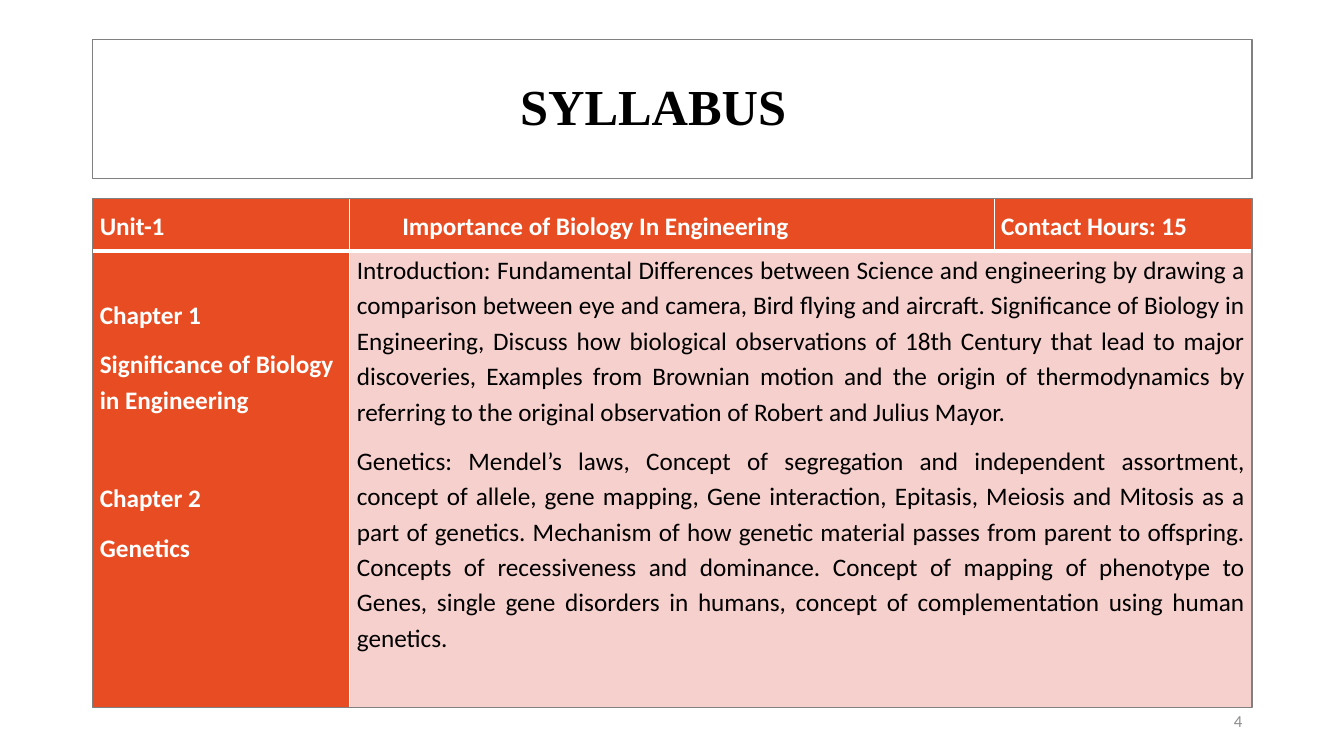
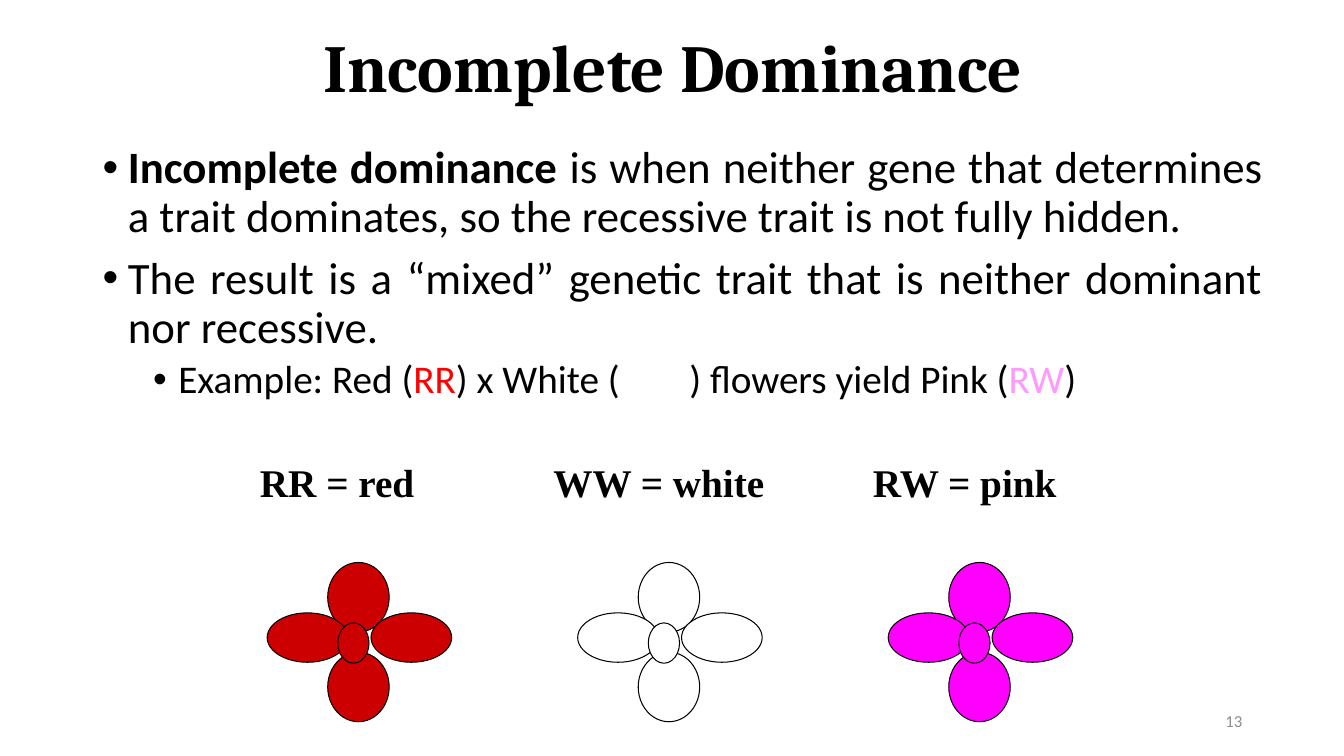
from lxml import etree
from pptx import Presentation
from pptx.dml.color import RGBColor
from pptx.enum.shapes import MSO_SHAPE
from pptx.enum.text import MSO_ANCHOR, PP_ALIGN
from pptx.oxml.ns import qn
from pptx.util import Pt

LEFT, CENTER, RIGHT, JUSTIFY = PP_ALIGN.LEFT, PP_ALIGN.CENTER, PP_ALIGN.RIGHT, PP_ALIGN.JUSTIFY
TOP, MIDDLE = MSO_ANCHOR.TOP, MSO_ANCHOR.MIDDLE
OVAL, RECTANGLE = MSO_SHAPE.OVAL, MSO_SHAPE.RECTANGLE

BLACK, WHITE, GREY, NUMBER_GREY = "000000", "FFFFFF", "808080", "8C8C8C"
ORANGE, ROSE = "E84C22", "F6D0CD"
RED, PALE_PINK = "FF0000", "FF99FF"
BODY_FONT, SERIF_FONT, LABEL_FONT = "Calibri", "Cambria", "Times New Roman"
EMU_PER_PX = 9144
MARGIN, CONTENT_WIDTH = 92, 1150

HEADER = (("Unit-1", 7), ("Importance of Biology In Engineering", 52), ("Contact Hours: 15", 7))
CHAPTERS = (
    ("Chapter 1", JUSTIFY, 0),
    ("Significance of Biology in Engineering", LEFT, 0),
    ("Chapter 2", JUSTIFY, 35),
    ("Genetics", JUSTIFY, 0),
)
TOPICS = (
    "Introduction: Fundamental Differences between Science and engineering by drawing a comparison "
    "between eye and camera, Bird flying and aircraft. Significance of Biology in Engineering, Discuss "
    "how biological observations of 18th Century that lead to major discoveries, Examples from Brownian "
    "motion and the origin of thermodynamics by referring to the original observation of Robert and "
    "Julius Mayor.",
    "Genetics: Mendel’s laws, Concept of segregation and independent assortment, concept of allele, gene "
    "mapping, Gene interaction, Epitasis, Meiosis and Mitosis as a part of genetics. Mechanism of how "
    "genetic material passes from parent to offspring. Concepts of recessiveness and dominance. Concept "
    "of mapping of phenotype to Genes, single gene disorders in humans, concept of complementation using "
    "human genetics.",
)
BULLETS = (
    (0, 32, 0, (
        ("Incomplete dominance", BLACK, True),
        (" is when neither gene that determines a trait dominates, "
         "so the recessive trait is not fully hidden.", BLACK, False),
    )),
    (0, 32, 10, (
        ("The result is a “mixed” genetic trait that is neither dominant nor recessive.", BLACK, False),
    )),
    (1, 28, 5, (
        ("Example: Red (", BLACK, False),
        ("RR", RED, False),
        (") x White (", BLACK, False),
        ("WW", WHITE, False),
        (") flowers yield Pink (", BLACK, False),
        ("RW", PALE_PINK, False),
        (")", BLACK, False),
    )),
)
FLOWERS = (
    ("RR = red", (248, 450, 174, 57), "CC0000"),
    ("WW = white", (539, 450, 232, 57), WHITE),
    ("RW = pink", (856, 450, 205, 57), "FF00FF"),
)
FLOWER_PARTS = (
    (60, 0, 61, 69),
    (60, 89, 61, 69),
    (0, 50, 80, 49),
    (103, 50, 80, 49),
    (70, 60, 31, 40),
)
FLOWER_LEFT, FLOWER_TOP, FLOWER_PITCH = 265, 558, 308


def px(length):
    return length * EMU_PER_PX


def color(value):
    return RGBColor.from_string(value)


def add_run(paragraph, text, size, fill, bold=False, font=BODY_FONT):
    run = paragraph.add_run()
    run.text = text
    run.font.name = font
    run.font.size = Pt(size)
    run.font.bold = bold
    run.font.color.rgb = color(fill)


def next_paragraph(frame, index):
    return frame.add_paragraph() if index else frame.paragraphs[0]


def add_text_box(shapes, box, anchor=TOP, wrap=True):
    frame = shapes.add_textbox(*map(px, box)).text_frame
    frame.word_wrap = wrap
    frame.vertical_anchor = anchor
    return frame


def add_outlined_shape(shapes, kind, box, line, width, fill=None):
    shape = shapes.add_shape(kind, *map(px, box))
    shape.shadow.inherit = False
    shape.line.color.rgb = color(line)
    shape.line.width = Pt(width)
    if fill:
        shape.fill.solid()
        shape.fill.fore_color.rgb = color(fill)
    else:
        shape.fill.background()


def add_title(slide, box, text, size, font, right_inset=10):
    frame = add_text_box(slide.shapes, box, MIDDLE)
    frame.margin_right = px(right_inset)
    paragraph = frame.paragraphs[0]
    paragraph.alignment = CENTER
    paragraph.line_spacing = 0.9
    add_run(paragraph, text, size, BLACK, True, font)


def add_slide(presentation, number):
    slide = presentation.slides.add_slide(presentation.slide_layouts[6])
    frame = add_text_box(slide.shapes, (942, 695, 300, 40), MIDDLE)
    paragraph = frame.paragraphs[0]
    paragraph.alignment = RIGHT
    add_run(paragraph, str(number), 12, NUMBER_GREY)
    return slide


def style_cell(cell, fill, anchor, bottom_width, left=7, bottom=0):
    cell.fill.solid()
    cell.fill.fore_color.rgb = color(fill)
    cell.vertical_anchor = anchor
    cell.margin_left, cell.margin_right = px(left), px(7)
    cell.margin_top, cell.margin_bottom = 0, px(bottom)
    properties = cell._tc.get_or_add_tcPr()
    widths = (("lnL", 1), ("lnR", 1), ("lnT", 1), ("lnB", bottom_width))
    for index, (side, width) in enumerate(widths):
        border = etree.Element(qn("a:" + side), w=str(Pt(width)))
        solid = etree.SubElement(border, qn("a:solidFill"))
        etree.SubElement(solid, qn("a:srgbClr"), val=WHITE)
        properties.insert(index, border)


def fill_cell(cell, index, text, fill, bold, alignment=JUSTIFY, before=0):
    paragraph = next_paragraph(cell.text_frame, index)
    paragraph.alignment = alignment
    paragraph.line_spacing = 1.15
    paragraph.space_after = Pt(10)
    if before:
        paragraph.space_before = Pt(before)
    add_run(paragraph, text, 18, fill, bold)


def add_syllabus_table(slide, box):
    table = slide.shapes.add_table(2, 3, *map(px, box)).table
    table.first_row = table.horz_banding = False
    for column, width in zip(table.columns, (255, 639, 256)):
        column.width = px(width)
    for row, height in zip(table.rows, (52, 453)):
        row.height = px(height)
    for index, (text, left) in enumerate(HEADER):
        cell = table.cell(0, index)
        style_cell(cell, ORANGE, MIDDLE, 3, left)
        fill_cell(cell, 0, text, WHITE, True)
    chapters = table.cell(1, 0)
    style_cell(chapters, ORANGE, MIDDLE, 1, bottom=98)
    for index, (text, alignment, before) in enumerate(CHAPTERS):
        fill_cell(chapters, index, text, WHITE, True, alignment, before)
    topics = table.cell(1, 1)
    topics.merge(table.cell(1, 2))
    style_cell(topics, ROSE, TOP, 1)
    for index, text in enumerate(TOPICS):
        fill_cell(topics, index, text, BLACK, False)


def add_bullets(slide, box):
    frame = add_text_box(slide.shapes, box)
    for index, (level, size, before, runs) in enumerate(BULLETS):
        paragraph = next_paragraph(frame, index)
        paragraph.level = level
        properties = paragraph._p.get_or_add_pPr()
        properties.set("marL", str(px(25 + 50 * level)))
        properties.set("indent", str(px(-25)))
        etree.SubElement(properties, qn("a:buFont"), typeface="Arial")
        etree.SubElement(properties, qn("a:buChar"), char="•")
        paragraph.alignment = JUSTIFY
        paragraph.line_spacing = 0.9
        if before:
            paragraph.space_before = Pt(before)
        for text, fill, bold in runs:
            add_run(paragraph, text, size, fill, bold)


def add_flower(slide, left, top, label, label_box, fill):
    shapes = slide.shapes.add_group_shape().shapes
    frame = add_text_box(shapes, label_box, wrap=False)
    add_run(frame.paragraphs[0], label, 28, BLACK, True, LABEL_FONT)
    for x, y, width, height in FLOWER_PARTS:
        add_outlined_shape(shapes, OVAL, (left + x, top + y, width, height), BLACK, 0.75, fill)


def build_syllabus(presentation):
    slide = add_slide(presentation, 4)
    title_box = (MARGIN, 39, CONTENT_WIDTH, 138)
    table_box = (MARGIN, 197, CONTENT_WIDTH, 505)
    add_title(slide, title_box, "SYLLABUS", 36, LABEL_FONT, 48)
    add_syllabus_table(slide, table_box)
    for box in (table_box, title_box):
        add_outlined_shape(slide.shapes, RECTANGLE, box, GREY, 1)


def build_dominance(presentation):
    slide = add_slide(presentation, 13)
    add_title(slide, (MARGIN, 12, CONTENT_WIDTH, 117), "Incomplete Dominance", 48, SERIF_FONT)
    add_bullets(slide, (MARGIN, 139, 1171, 327))
    for index, (label, label_box, fill) in enumerate(FLOWERS):
        add_flower(slide, FLOWER_LEFT + index * FLOWER_PITCH, FLOWER_TOP, label, label_box, fill)


def main():
    presentation = Presentation()
    presentation.slide_width, presentation.slide_height = px(1333), px(750)
    build_syllabus(presentation)
    build_dominance(presentation)
    presentation.save("out.pptx")


if __name__ == "__main__":
    main()
